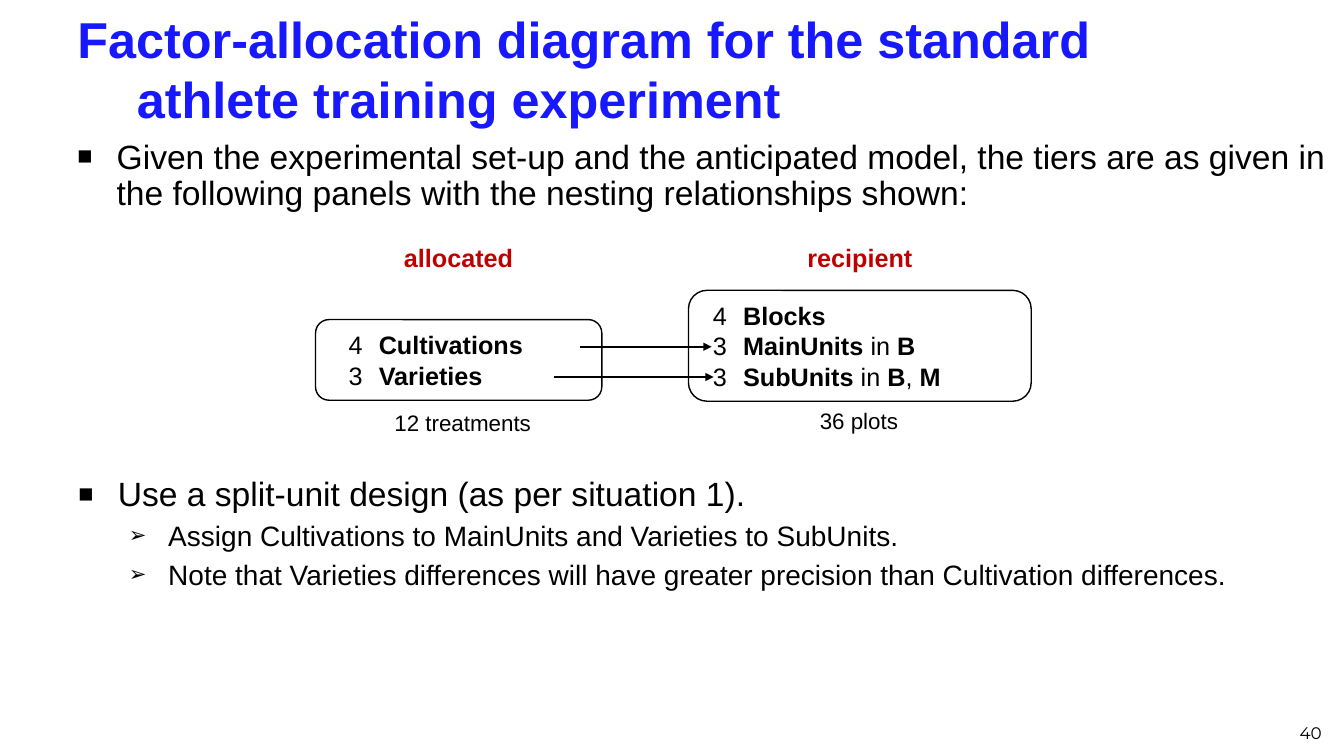
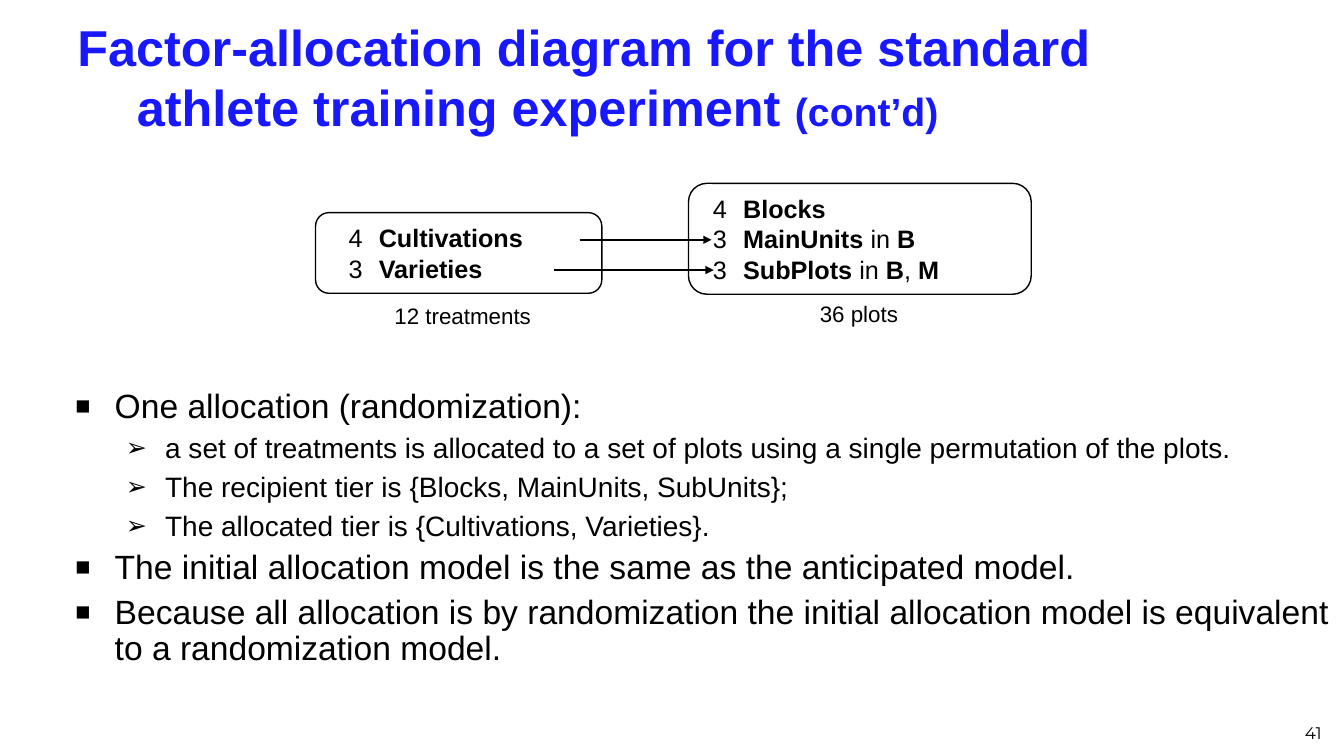
import pptx
import pptx.dml.color
import pptx.enum.shapes
import pptx.enum.text
import pptx.oxml.ns
import pptx.util
from lxml import etree

Pt = pptx.util.Pt
Align = pptx.enum.text.PP_ALIGN
Anchor = pptx.enum.text.MSO_ANCHOR
qn = pptx.oxml.ns.qn

COLORS = {"title": "1818FF", "text": "000000", "heading": "C00000"}
TITLE = "Factor-allocation diagram for the standard athlete training experiment"
# Per level: bullet sign, text indent, font size
LEVELS = [("■", 28.1, 24), ("➢", 64.1, 20)]
HANGING = 28.1


def color(name):
    return pptx.dml.color.RGBColor.from_string(COLORS[name])


def add_span(para, text, size, bold=False, tone="text", font="Arial"):
    span = para.add_run()
    span.text = text
    span.font.size = Pt(size)
    span.font.bold = bold
    span.font.name = font
    span.font.color.rgb = color(tone)


def add_box(shapes, left, top, width, height, anchor=Anchor.TOP):
    """Add a wrapping text box and return its text frame."""
    box = shapes.add_textbox(Pt(left), Pt(top), Pt(width), Pt(height))
    box.text_frame.word_wrap = True
    box.text_frame.vertical_anchor = anchor
    return box.text_frame


def paragraphs(frame, items):
    """Yield a paragraph of the frame with each item."""
    for index, item in enumerate(items):
        yield (frame.add_paragraph() if index else frame.paragraphs[0]), item


def set_indent(para, margin, hanging):
    props = para._p.get_or_add_pPr()
    props.set("marL", str(Pt(margin)))
    props.set("indent", str(-Pt(hanging)))
    return props


def set_bullet(props, sign, percent):
    bullet_color = etree.SubElement(props, qn("a:buClr"))
    etree.SubElement(bullet_color, qn("a:srgbClr"), val=COLORS["text"])
    etree.SubElement(props, qn("a:buSzPct"), val=str(percent * 1000))
    etree.SubElement(props, qn("a:buFont"), typeface="Arial")
    etree.SubElement(props, qn("a:buChar"), char=sign)


def add_page(deck, title_top, number, suffix=""):
    """Add a page with its title and page number."""
    page = deck.slides.add_slide(deck.slide_layouts[6])
    title = add_box(page.shapes, 48.2, title_top, 864, 79.2, Anchor.MIDDLE)
    para = title.paragraphs[0]
    set_indent(para, 42.5, 42.5)
    add_span(para, TITLE, 36, True, "title")
    if suffix:
        add_span(para, " ", 36, True, "title")
        add_span(para, suffix, 28, True, "title")
    footer = add_box(page.shapes, 727.2, 498.2, 224, 36, Anchor.BOTTOM)
    footer.paragraphs[0].alignment = Align.RIGHT
    add_span(footer.paragraphs[0], str(number), 12, font="Montserrat")
    return page


def add_bullets(page, left, top, height, items, sub_percent=75):
    """Add a bullet list from (level, text) items."""
    frame = add_box(page.shapes, left, top, 911, height)
    for para, (level, text) in paragraphs(frame, items):
        sign, margin, size = LEVELS[level]
        para.level = level
        para.line_spacing = 0.9
        para.space_before = Pt(6)
        props = set_indent(para, margin, HANGING)
        set_bullet(props, sign, sub_percent if level else 75)
        add_span(para, text, size)


def add_label(shapes, left, top, width, height, text, size, bold=False, tone="text"):
    para = add_box(shapes, left, top, width, height).paragraphs[0]
    para.alignment = Align.CENTER
    add_span(para, text, size, bold, tone)


def add_panel(shapes, left, top, width, height, margin, rows):
    """Add a rounded panel; the parts of a row alternate plain and bold."""
    kind = pptx.enum.shapes.MSO_SHAPE.ROUNDED_RECTANGLE
    panel = shapes.add_shape(kind, Pt(left), Pt(top), Pt(width), Pt(height))
    panel.shadow.inherit = False
    panel.fill.background()
    panel.line.color.rgb = color("text")
    panel.line.width = Pt(1)
    frame = panel.text_frame
    frame.word_wrap = False
    frame.vertical_anchor = Anchor.MIDDLE
    for para, parts in paragraphs(frame, rows):
        para.alignment = Align.LEFT
        set_indent(para, margin, 21.6)
        for index, part in enumerate(parts):
            add_span(para, part, 18, bold=index % 2 == 1)


def add_arrow(page, left, right, y):
    kind = pptx.enum.shapes.MSO_CONNECTOR.STRAIGHT
    arrow = page.shapes.add_connector(kind, Pt(left), Pt(y), Pt(right), Pt(y))
    arrow.line.color.rgb = color("text")
    arrow.line.width = Pt(1.5)
    etree.SubElement(arrow.line._get_or_add_ln(), qn("a:tailEnd"), type="triangle")
    etree.SubElement(arrow._element.spPr, qn("a:effectLst"))


def add_diagram(page, top, smallest_unit, headings=False):
    """Draw allocated and recipient panels; top is that of the taller one."""
    add_arrow(page, 414, 508.3, top + 40.3)
    add_arrow(page, 396, 509.8, top + 61.9)

    allocated = page.shapes.add_group_shape().shapes
    add_panel(allocated, 225.4, top + 20.9, 204.5, 57.6, 35.3,
              [("4\t", "Cultivations"), ("3\t", "Varieties")])
    add_label(allocated, 221.8, top + 81.4, 217.4, 26.6, "12 treatments", 16)

    recipient = page.shapes.add_group_shape().shapes
    add_panel(recipient, 491.8, top, 244.8, 79.2, 28.1,
              [("4\t", "Blocks"),
               ("3\t", "MainUnits", " in ", "B"),
               ("3\t", smallest_unit, " in ", "B", ", ", "M")])
    add_label(recipient, 520.6, top + 79.9, 185.8, 26.6, "36 plots", 16)

    if headings:
        add_label(allocated, 275, top - 37.5, 105.1, 28.8,
                  "allocated", 18, True, "heading")
        add_label(recipient, 568.1, top - 38.2, 92.2, 28.8,
                  "recipient", 18, True, "heading")


def add_design_page(deck):
    page = add_page(deck, 9.4, 40)
    add_bullets(page, 48.2, 96.5, 55.4, [
        (0, "Given the experimental set-up and the anticipated model, the tiers are "
            "as given in the following panels with the nesting relationships shown:"),
    ])
    add_diagram(page, 207.4, "SubUnits", headings=True)
    add_bullets(page, 49, 337.7, 200, [
        (0, "Use a split-unit design (as per situation 1)."),
        (1, "Assign Cultivations to MainUnits and Varieties to SubUnits."),
        (1, "Note that Varieties differences will have greater precision than "
            "Cultivation differences."),
    ])


def add_allocation_page(deck):
    page = add_page(deck, 15.1, 41, "(cont’d)")
    add_diagram(page, 131, "SubPlots")
    add_bullets(page, 46.8, 275, 225.4, [
        (0, "One allocation (randomization):"),
        (1, "a set of treatments is allocated to a set of plots using a single "
            "permutation of the plots."),
        (1, "The recipient tier is {Blocks, MainUnits, SubUnits};"),
        (1, "The allocated tier is {Cultivations, Varieties}."),
        (0, "The initial allocation model is the same as the anticipated model."),
        (0, "Because all allocation is by randomization the initial allocation model "
            "is equivalent to a randomization model."),
    ], sub_percent=90)


def main():
    deck = pptx.Presentation()
    deck.slide_width, deck.slide_height = Pt(960), Pt(540)
    add_design_page(deck)
    add_allocation_page(deck)
    deck.save("out.pptx")


if __name__ == "__main__":
    main()
